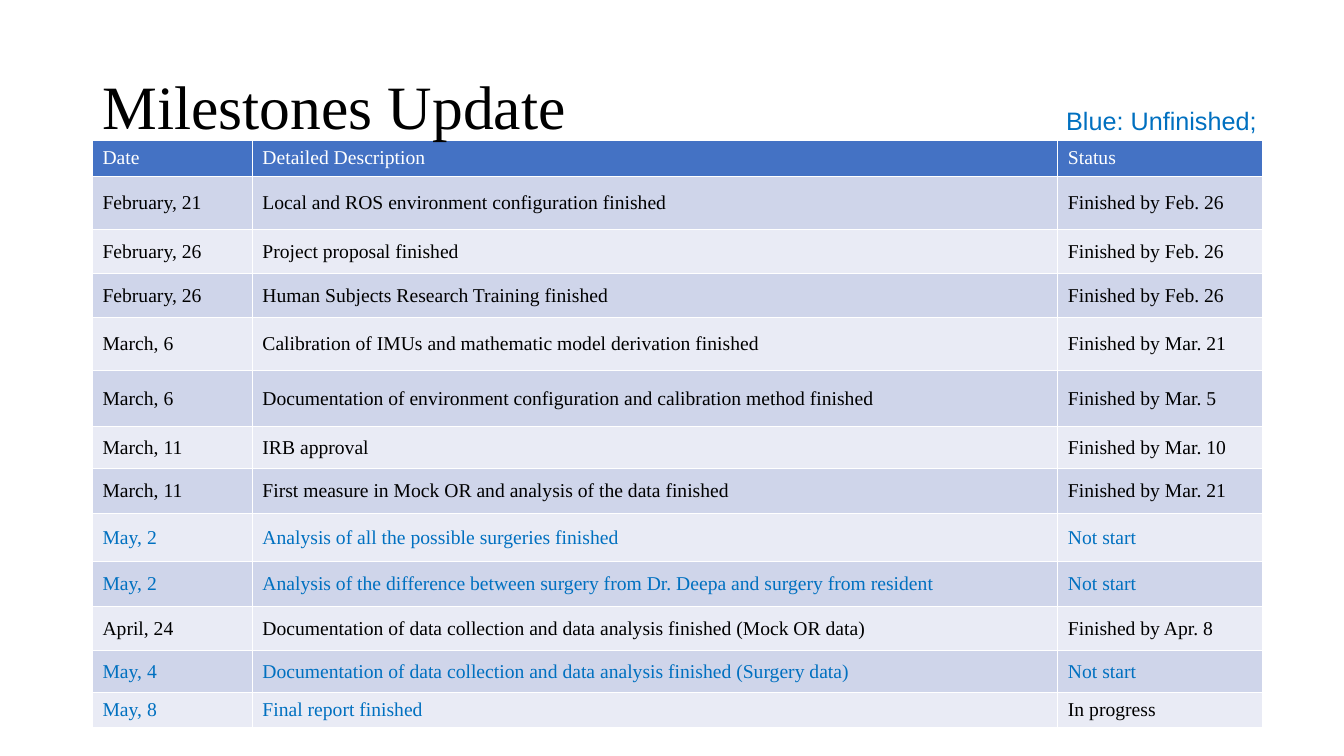
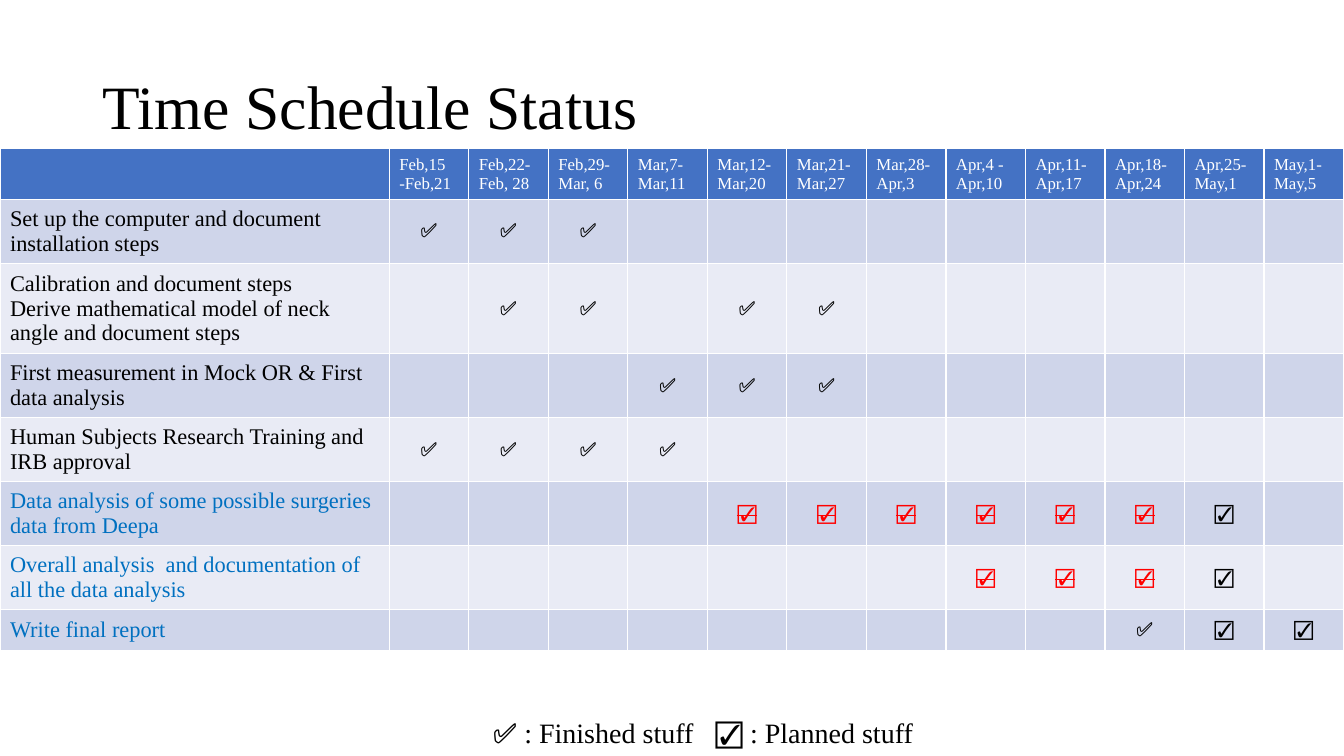
from lxml.etree import SubElement
from pptx import Presentation
from pptx.dml.color import RGBColor
from pptx.enum.text import MSO_ANCHOR, PP_ALIGN
from pptx.oxml.ns import qn
from pptx.util import Cm, Pt

WHITE, BLACK, BLUE, RED = "FFFFFF", "000000", "0070C0", "FF0000"
HEADER, BANDS = "4472C4", ("CFD5EA", "E9EBF5")
SERIF, SANS = "Times New Roman", "Arial"
WIDTH, HEIGHT = 33.87, 19.05
TITLE_BOX = (2.33, 0.91, 29.21, 3.68)

MILESTONE_COLS = (4.03, 20.3, 5.16)
MILESTONES = [
    (1.34, "February, 21", "Local and ROS environment configuration finished", "Finished by Feb. 26"),
    (1.11, "February, 26", "Project proposal finished", "Finished by Feb. 26"),
    (1.11, "February, 26", "Human Subjects Research Training finished", "Finished by Feb. 26"),
    (1.34, "March, 6", "Calibration of IMUs and mathematic model derivation finished", "Finished by Mar. 21"),
    (1.41, "March, 6", "Documentation of environment configuration and calibration method finished",
     "Finished by Mar. 5"),
    (1.05, "March, 11", "IRB approval", "Finished by Mar. 10"),
    (1.14, "March, 11", "First measure in Mock OR and analysis of the data finished", "Finished by Mar. 21"),
    (1.22, "May, 2", "Analysis of all the possible surgeries finished", "Not start"),
    (1.13, "May, 2", "Analysis of the difference between surgery from Dr. Deepa and surgery from resident",
     "Not start"),
    (1.11, "April, 24", "Documentation of data collection and data analysis finished (Mock OR data)",
     "Finished by Apr. 8"),
    (1.06, "May, 4", "Documentation of data collection and data analysis finished (Surgery data)", "Not start"),
    (0.88, "May, 8", "Final report finished", "In progress"),
]

TASK_COL, WEEK_ROW, TASK_ROW = 9.81, 0.43, 1.04
WEEKS = ["Feb,15 -Feb,21", "Feb,22-Feb, 28", "Feb,29-Mar, 6", "Mar,7-Mar,11", "Mar,12-Mar,20", "Mar,21-Mar,27",
         "Mar,28-Apr,3", "Apr,4 - Apr,10", "Apr,11-Apr,17", "Apr,18-Apr,24", "Apr,25-May,1", "May,1-May,5"]
TASKS = [
    (BLACK, "Set up the computer and document installation steps", "DDD........."),
    (BLACK, "Calibration and document steps\nDerive mathematical model of neck angle and document steps",
     ".DD.DD......"),
    (BLACK, "First measurement in Mock OR & First data analysis", "...DDD......"),
    (BLACK, "Human Subjects Research Training and IRB approval", "DDDD........"),
    (BLUE, "Data analysis of some possible surgeries data from Deepa", "....SSSSSSP."),
    (BLUE, "Overall analysis  and documentation of\nall the data analysis", ".......SSSP."),
    (BLUE, "Write final report", ".........DPP"),
]
DONE, PLANNED = "✅", "☑️"
MARKS = {"D": (DONE, BLACK, False), "S": (PLANNED, RED, True), "P": (PLANNED, BLACK, False)}


def rgb(hex_color):
    """Turn a hex string into a colour."""
    return RGBColor.from_string(hex_color)


def write(tf, text, size, color, font=SERIF, strike=False, **para):
    """Fill a text frame with one paragraph per line of text."""
    for i, line in enumerate(text.split("\n")):
        p = tf.add_paragraph() if i else tf.paragraphs[0]
        for name, value in para.items():
            setattr(p, name, value)
        r = p.add_run()
        r.text = line
        for name, value in {"name": font, "size": Pt(size), "bold": False}.items():
            setattr(r.font, name, value)
        r.font.color.rgb = rgb(color)
        if strike:
            r.font._element.set("strike", "sngStrike")


def add_text(s, box, text, size, color, font=SERIF, frame=None, **para):
    """Add a text box at a box given in centimetres."""
    tf = s.shapes.add_textbox(*map(Cm, box)).text_frame
    for name, value in {"word_wrap": True, **(frame or {})}.items():
        setattr(tf, name, value)
    write(tf, text, size, color, font, **para)
    return tf


def add_title(s, text):
    """Add the slide title."""
    add_text(s, TITLE_BOX, text, 44, BLACK, frame={"vertical_anchor": MSO_ANCHOR.MIDDLE}, line_spacing=0.9)


def add_grid(s, box, cols, rows):
    """Add a banded table with a header row and return it."""
    sp = s.shapes.add_table(len(rows), len(cols), *map(Cm, box))
    table = sp.table
    for col, width in zip(table.columns, cols):
        col.width = Cm(width)
    for i, (row, height) in enumerate(zip(table.rows, rows)):
        row.height = Cm(height)
        for cell in row.cells:
            cell.vertical_anchor = MSO_ANCHOR.MIDDLE
            cell.fill.solid()
            cell.fill.fore_color.rgb = rgb(BANDS[(i - 1) % 2] if i else HEADER)
    sp.height = Cm(box[3])
    return table


def milestone_table(s, box):
    """Place the milestone table, with unfinished work in blue."""
    table = add_grid(s, box, MILESTONE_COLS, [0.9] + [m[0] for m in MILESTONES])
    for j, text in enumerate(("Date", "Detailed Description", "Status")):
        write(table.cell(0, j).text_frame, text, 14, WHITE)
    for i, (_, date, detail, status) in enumerate(MILESTONES, 1):
        row_color = BLACK if status.startswith("Finished") else BLUE
        status_color = BLUE if status == "Not start" else BLACK
        for j, (text, color) in enumerate(((date, row_color), (detail, row_color), (status, status_color))):
            write(table.cell(i, j).text_frame, text, 14, color)


def schedule_table(s, box):
    """Place the week-by-week schedule, whose rows grow with their text."""
    week_col = (box[2] - TASK_COL) / len(WEEKS)
    table = add_grid(s, box, [TASK_COL] + [week_col] * len(WEEKS), [WEEK_ROW] + [TASK_ROW] * len(TASKS))
    for j, week in enumerate(WEEKS, 1):
        write(table.cell(0, j).text_frame, week, 12, WHITE)
    for i, (color, task, marks) in enumerate(TASKS, 1):
        write(table.cell(i, 0).text_frame, task, 16, color)
        for j, key in enumerate(marks, 1):
            if key in MARKS:
                mark, mark_color, strike = MARKS[key]
                write(table.cell(i, j).text_frame, mark, 14, mark_color, SANS, strike, alignment=PP_ALIGN.CENTER)


def legend(s, box, gap):
    """Place the key to the marks, its second entry on a tab stop."""
    tf = add_text(s, box, f"{DONE} : Finished stuff\t{PLANNED} : Planned stuff", 20, BLACK)
    tabs = SubElement(tf.paragraphs[0]._p.get_or_add_pPr(), qn("a:tabLst"))
    SubElement(tabs, qn("a:tab"), pos=str(Cm(gap)), algn="l")


def milestones_slide(prs):
    """Build the milestones slide."""
    s = prs.slides.add_slide(prs.slide_layouts[6])
    milestone_table(s, (2.33, 3.54, 29.49, 14.8))
    add_title(s, "Milestones Update")
    add_text(s, (26.62, 2.52, 5.36, 1.02), "Blue: Unfinished;", 18, BLUE, SANS, {"word_wrap": False})


def schedule_slide(prs):
    """Build the schedule slide."""
    s = prs.slides.add_slide(prs.slide_layouts[6])
    schedule_table(s, (0, 3.75, WIDTH, 12.62))
    legend(s, (12.17, 17.9, 15.42, 1.12), 5.6)
    add_title(s, "Time Schedule Status")


def main():
    """Build and save the presentation."""
    prs = Presentation()
    prs.slide_width, prs.slide_height = Cm(WIDTH), Cm(HEIGHT)
    milestones_slide(prs)
    schedule_slide(prs)
    prs.save("out.pptx")


if __name__ == "__main__":
    main()
